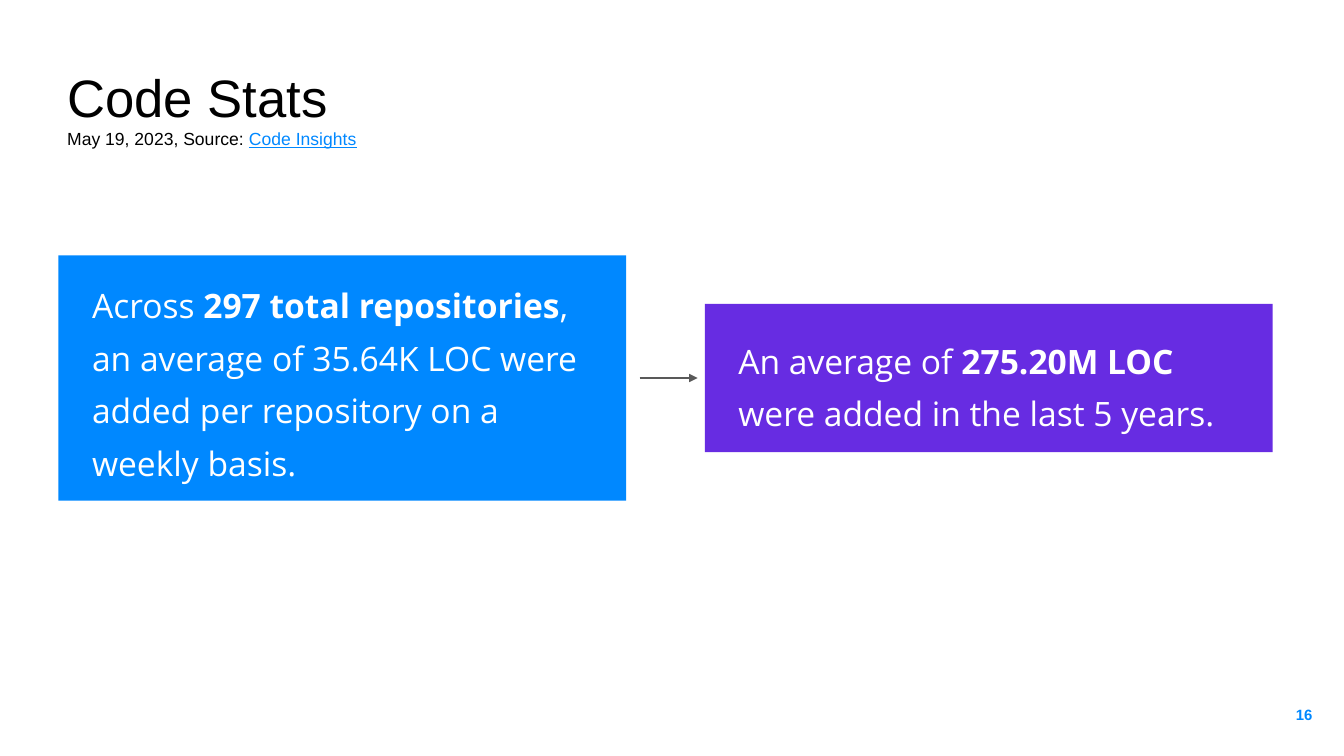
from dataclasses import dataclass
from lxml import etree
from pptx import Presentation, util as u
from pptx.dml.color import RGBColor
from pptx.enum import shapes, text
from pptx.oxml.ns import qn


@dataclass(frozen=True)
class Theme:
    """Colours, fonts and type sizes of the slide."""
    black: str = "000000"
    white: str = "FFFFFF"
    blue: str = "0088FF"
    violet: str = "672CE2"
    grey: str = "595959"
    sans: str = "Arial"
    body: str = "Open Sans"
    title: float = 56.4
    note: float = 18.8
    fact: float = 36
    page: float = 16


T = Theme()
WIDE, HIGH = 50.8, 28.58
MID = HIGH / 2

HEAD = dict(name=T.sans, size=T.title, color=T.black)
NOTE = dict(name=T.sans, size=T.note, color=T.black)
LINK = dict(NOTE, color=T.blue, underline=True)
FACT = dict(name=T.body, size=T.fact, color=T.white)
BOLD = dict(FACT, bold=True)
PAGE = dict(name=T.sans, size=T.page, color=T.blue, bold=True)

TITLE = [
    [("Code Stats", HEAD)],
    [("May 19, 2023, Source: ", NOTE), ("Code Insights", LINK)],
]
FACTS = [
    dict(left=2.21, high=9.27, fill=T.blue, pads=(1.27, 0.25, 1.27, 0.25), lines=[[
        ("Across ", FACT), ("297 total repositories", BOLD),
        (", an average of 35.64K LOC were added per repository on a weekly basis.", FACT)]]),
    dict(left=26.64, high=5.61, fill=T.violet, pads=(1.27, 0.25, 1.27, 0), lines=[[
        ("An average of ", FACT), ("275.20M LOC ", BOLD),
        ("were added in the last 5 years.", FACT)]]),
]
BOX_WIDE = 21.46
ARROW = (24.18, 26.37)


def style(font, form):
    """Apply a dict of format values to a font."""
    for key, value in form.items():
        if key == "color":
            font.color.rgb = RGBColor.from_string(value)
        else:
            setattr(font, key, u.Pt(value) if key == "size" else value)


def write(shape, lines, pads, anchor, align=text.PP_ALIGN.LEFT, space=None):
    """Fill a shape with paragraphs of styled runs."""
    frame = shape.text_frame
    frame.word_wrap = True
    frame.vertical_anchor = anchor
    for side, pad in zip(("left", "top", "right", "bottom"), pads):
        setattr(frame, f"margin_{side}", u.Cm(pad))
    for i, line in enumerate(lines):
        para = frame.add_paragraph() if i else frame.paragraphs[0]
        para.alignment = align
        para.line_spacing = space
        for words, form in line:
            run = para.add_run()
            run.text = words
            style(run.font, form)


def add_fact(slide, left, high, fill, pads, lines):
    """Draw one filled box centred on the middle of the slide."""
    place = map(u.Cm, (left, MID - high / 2, BOX_WIDE, high))
    box = slide.shapes.add_shape(shapes.MSO_SHAPE.RECTANGLE, *place)
    box.shadow.inherit = False
    box.fill.solid()
    box.fill.fore_color.rgb = RGBColor.from_string(fill)
    box.line.fill.background()
    write(box, lines, pads, text.MSO_ANCHOR.MIDDLE, space=1.3)


def add_arrow(slide, start, end):
    """Draw a level arrow across the middle of the slide."""
    ends = map(u.Cm, (start, MID, end, MID))
    arrow = slide.shapes.add_connector(shapes.MSO_CONNECTOR.STRAIGHT, *ends)
    arrow.line.width = u.Pt(3)
    arrow.line.color.rgb = RGBColor.from_string(T.grey)
    etree.SubElement(arrow.line._get_or_add_ln(), qn("a:tailEnd"), type="triangle")
    etree.SubElement(arrow._element.spPr, qn("a:effectLst"))


def main():
    """Build the slide and save it."""
    deck = Presentation()
    deck.slide_width, deck.slide_height = u.Cm(WIDE), u.Cm(HIGH)
    slide = deck.slides.add_slide(deck.slide_layouts[6])
    head = slide.shapes.add_textbox(*map(u.Cm, (2.54, 2.46, 47.35, 3.18)))
    write(head, TITLE, (0, 0, 0, 0), text.MSO_ANCHOR.TOP)
    for fact in FACTS:
        add_fact(slide, **fact)
    page = slide.shapes.add_textbox(*map(u.Cm, (47.07, 25.91, 3.05, 2.18)))
    write(page, [[("16", PAGE)]], (0.51,) * 4, text.MSO_ANCHOR.MIDDLE, text.PP_ALIGN.RIGHT)
    add_arrow(slide, *ARROW)
    deck.save("out.pptx")


if __name__ == "__main__":
    main()
